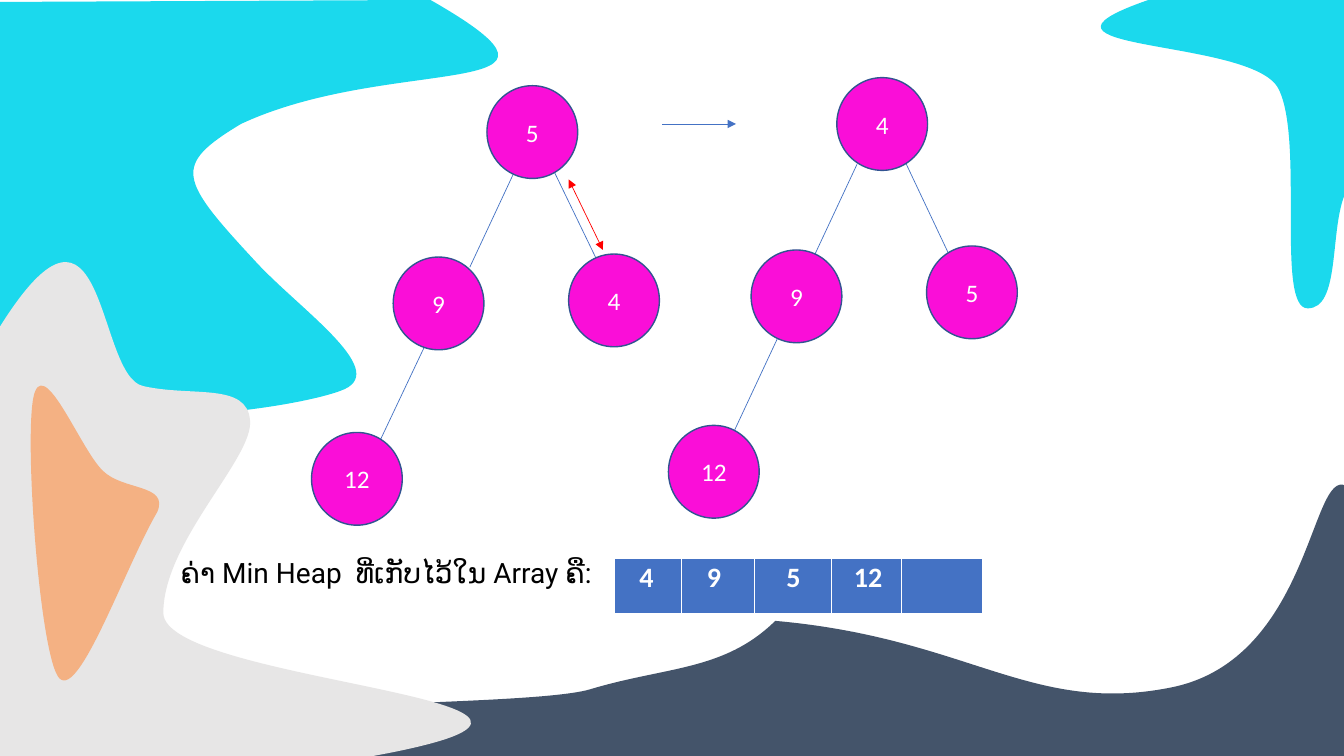
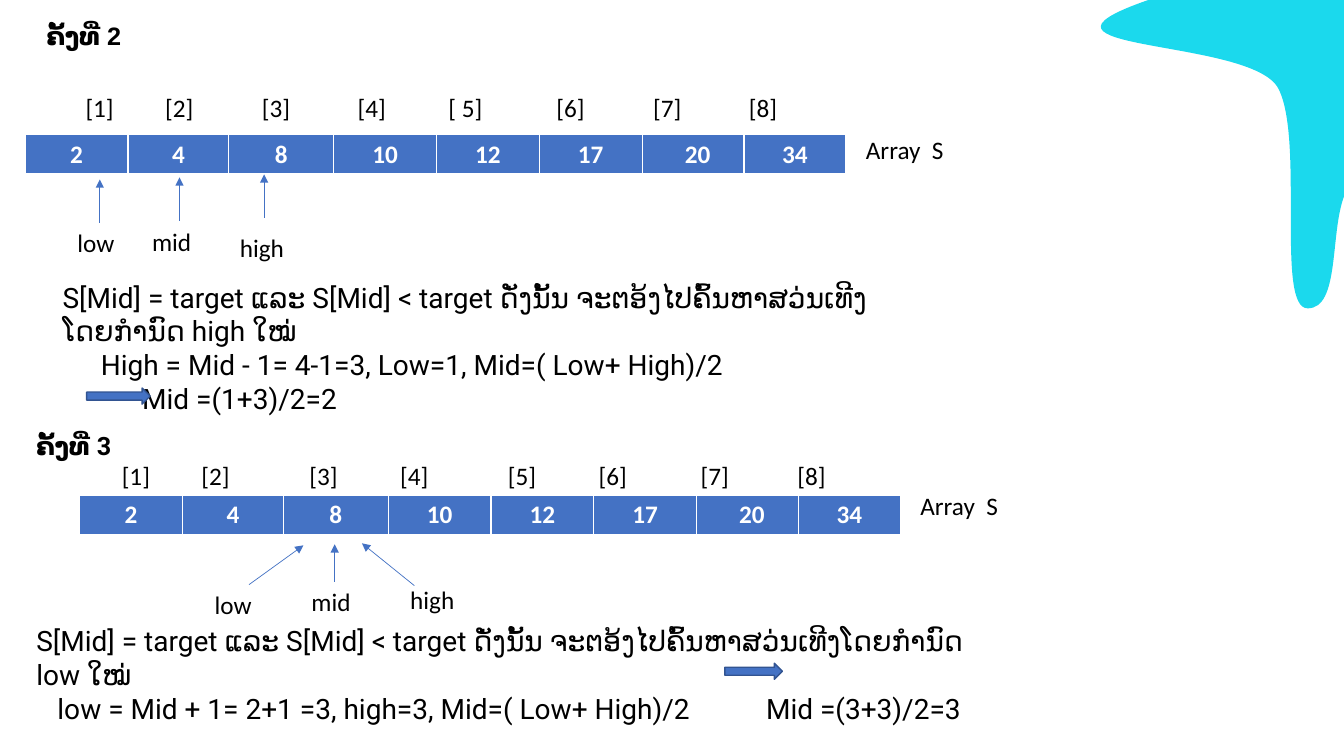
import pptx
import pptx.util
import pptx.dml.color
import pptx.enum.shapes
import pptx.enum.text
import pptx.oxml
import pptx.oxml.ns

EMU_PER_PX = 9144
SLIDE_WIDTH, SLIDE_HEIGHT = 1333, 750
CURVE_STEPS = 24
NODE_WIDTH, NODE_HEIGHT = 90, 92

COLORS = {
    "cyan": "1BD9ED", "navy": "44546A", "grey": "E7E6E6", "peach": "F4B183",
    "magenta": "FA0ED8", "blue": "4472C4", "outline": "325491",
    "red": "FF0000", "white": "FFFFFF", "black": "000000",
}

ANCHOR = pptx.enum.text.MSO_ANCHOR
ALIGN = pptx.enum.text.PP_ALIGN
PRESET = pptx.enum.shapes.MSO_SHAPE

HEADING = {"name": "Arial", "size": 18, "bold": True}
LABEL = {"name": "Calibri", "size": 18, "bold": False}
CELL = {"name": "Calibri", "size": 18, "bold": True}
HEAP_CELL = {"name": "Calibri", "size": 20, "bold": True}
STATEMENT = {"name": "Roboto", "size": 20, "bold": False}

BLOBS = {
    "hill": ("navy", (585, 684), [
        (661, 661, 718, 666, 769, 616), (961, 633, 1023, 710, 1162, 682),
        (1300, 654, 1300, 464, 1335, 482), (1335, 571, 1336, 661, 1336, 750),
        (314, 750), (-3, 690, 510, 706, 585, 684)]),
    "lagoon": ("cyan", (0, 2), [
        (427, 0), (605, 102, 389, 53, 239, 123), (171, 164, 177, 177, 253, 259),
        (296, 306, 385, 366, 342, 386), (300, 405, 72, 439, 0, 377)]),
    "stone": ("grey", (0, 324), [
        (106, 155, 95, 373, 142, 383), (190, 394, 245, 379, 248, 417),
        (252, 454, 162, 537, 162, 608), (162, 679, 676, 694, 370, 750), (0, 750)]),
    "corner": ("cyan", (1139, 0), [
        (1333, 0), (1333, 195), (1319, 232, 1329, 306, 1297, 306),
        (1265, 306, 1294, 139, 1268, 88), (1242, 37, 989, 52, 1139, 0)]),
    "petal": ("peach", (35, 388), [
        (47, 360, 81, 447, 102, 467), (122, 487, 168, 480, 156, 508),
        (124, 563, 79, 693, 59, 673), (39, 653, 22, 416, 35, 388)]),
}

TREES = [
    {"origin": (309, 85),
     "nodes": [("5", 174, 0), ("9", 81, 170), ("4", 255, 167), ("12", 0, 344)],
     "edges": [(200, 88, 157, 180), (240, 84, 284, 175), (112, 259, 68, 352)]},
    {"origin": (663, 77),
     "nodes": [("4", 167, 0), ("9", 82, 171), ("5", 256, 167), ("12", 0, 345)],
     "edges": [(187, 86, 144, 178), (235, 84, 278, 175), (108, 259, 65, 351)]},
]

HEAP_CELLS = [("4", 67, 25), ("9", 72, 25), ("5", 77, 32), ("12", 69, 22), ("", 81, 7)]
SEARCH_CELLS = [("2", 102, 10), ("4", 100, 10), ("8", 104, 10), ("10", 102, 10),
                ("12", 102, 10), ("17", 102, 10), ("20", 101, 19), ("34", 101, 10)]

STEPS = [
    {"origin": (25, 15), "heading": "ຄັ້ງທີ່ 2", "heading_at": (11, 0), "font": "Arial",
     "indexes": {"[1]": 50, "[2]": 129, "[3]": 225, "[4]": 320, "[ 5]": 410,
                 "[6]": 517, "[7]": 613, "[8]": 708},
     "index_top": 72, "array_at": (0, 118), "array_height": 40, "name_at": (824, 113),
     "markers": [("low", (42, 206), (74, 206, 74, 163)),
                 ("mid", (116, 205), (153, 204, 153, 161)),
                 ("high", (203, 211), (237, 201, 237, 158))],
     "reason_box": (27, 258, 823, 214),
     "reason": [
         ("S[Mid] = target ແລະ S[Mid] < target ດັ່ງນັ້ນ ຈະຕອ້ງໄປຄົ້ນຫາສວ່ນເທີງ ໂດຍກຳນົດ high ໃໝ່", 0),
         ("High = Mid - 1= 4-1=3, Low=1, Mid=( Low+ High)/2", 38),
         ("Mid =(1+3)/2=2", 79)],
     "result_arrow": (61, 370, 63, 16)},
    {"origin": (26, 422), "heading": "ຄັ້ງທີ່ 3", "heading_at": (0, 0), "font": "Roboto",
     "indexes": {"[1]": 85, "[2]": 164, "[3]": 271, "[4]": 361, "[5]": 468,
                 "[6]": 558, "[7]": 659, "[8]": 755},
     "index_top": 30, "array_at": (53, 69), "array_height": 41, "name_at": (877, 60),
     "markers": [("low", (177, 158), (221, 158, 275, 119)),
                 ("mid", (273, 155), (306, 155, 306, 118)),
                 ("high", (371, 153), (385, 159, 333, 117))],
     "reason_box": (0, 192, 978, 113),
     "reason": [
         ("S[Mid] = target ແລະ S[Mid] < target ດັ່ງນັ້ນ ຈະຕອ້ງໄປຄົ້ນຫາສວ່ນເທີງໂດຍກຳນົດ low ໃໝ່", 0),
         ("low = Mid + 1= 2+1 =3, high=3, Mid=( Low+ High)/2", 21)],
     "result": ("Mid =(3+3)/2=3", (724, 259, 230, 43)),
     "result_arrow": (693, 236, 57, 16)},
]


def px(length):
    return pptx.util.Emu(round(length * EMU_PER_PX))


def rgb(color):
    return pptx.dml.color.RGBColor.from_string(COLORS[color])


def shift(origin, box):
    return (origin[0] + box[0], origin[1] + box[1], *box[2:])


def shift_line(origin, line):
    return shift(origin, line[:2]) + shift(origin, line[2:])


def add_xml(parent, tag, **attributes):
    child = pptx.oxml.parse_xml(f"<a:{tag} {pptx.oxml.ns.nsdecls('a')}/>")
    for key, value in attributes.items():
        child.set(key, str(value))
    parent.append(child)
    return child


def write(paragraph, text, style, color="black", align=ALIGN.LEFT):
    run = paragraph.add_run()
    run.text = text
    for key, value in style.items():
        setattr(run.font, key, pptx.util.Pt(value) if key == "size" else value)
    run.font.color.rgb = rgb(color)
    paragraph.alignment = align


def indent_plain(paragraph, indent):
    paragraph.space_before = pptx.util.Pt(0)
    properties = paragraph._p.get_or_add_pPr()
    properties.set("marL", str(px(indent)))
    properties.set("indent", "0")
    add_xml(properties, "buNone")


def fill_placeholder(placeholder, box, anchor):
    for key, length in zip(("left", "top", "width", "height"), box):
        setattr(placeholder, key, px(length))
    frame = placeholder.text_frame
    settings = {"word_wrap": True, "vertical_anchor": anchor,
                "auto_size": pptx.enum.text.MSO_AUTO_SIZE.NONE}
    for key, value in settings.items():
        setattr(frame, key, value)
    return frame


def add_label(slide, box, text, style):
    frame = slide.shapes.add_textbox(*map(px, box)).text_frame
    frame.word_wrap = True
    write(frame.paragraphs[0], text, style)


def add_preset(slide, preset, box, color):
    shape = slide.shapes.add_shape(preset, *map(px, box))
    shape.shadow.inherit = False
    shape.fill.solid()
    shape.fill.fore_color.rgb = rgb(color)
    shape.line.color.rgb = rgb("outline")
    shape.line.width = pptx.util.Pt(1)
    return shape


def add_line(slide, ends, color="blue", arrowheads=()):
    line = slide.shapes.add_connector(
        pptx.enum.shapes.MSO_CONNECTOR.STRAIGHT, *map(px, ends))
    line.line.color.rgb = rgb(color)
    line.line.width = pptx.util.Pt(0.5)
    for end in arrowheads:
        add_xml(line.line._get_or_add_ln(), end, type="triangle")
    add_xml(line._element.spPr, "effectLst")


def curve_point(controls, t):
    weights = ((1 - t) ** 3, 3 * t * (1 - t) ** 2, 3 * t * t * (1 - t), t ** 3)
    return tuple(px(sum(w * c[axis] for w, c in zip(weights, controls))) for axis in (0, 1))


def trace_curves(blob, start, segments):
    outline = next(blob._element.iter(pptx.oxml.ns.qn("a:path")))
    for piece in list(outline):
        outline.remove(piece)
    for tag, corners in [("moveTo", [start])] + [
            ("lnTo" if len(corners) == 1 else "cubicBezTo", corners) for corners in segments]:
        piece = add_xml(outline, tag)
        for x, y in corners:
            add_xml(piece, "pt", x=px(x) - blob.left, y=px(y) - blob.top)
    add_xml(outline, "close")


def add_blob(slide, name):
    color, start, coordinates = BLOBS[name]
    segments = [list(zip(segment[::2], segment[1::2])) for segment in coordinates]
    extent, current = [], start
    for corners in segments:
        if len(corners) == 1:
            extent.append(tuple(map(px, corners[0])))
        else:
            extent += [curve_point([current, *corners], step / CURVE_STEPS)
                       for step in range(1, CURVE_STEPS + 1)]
        current = corners[-1]
    builder = slide.shapes.build_freeform(px(start[0]), px(start[1]))
    builder.add_line_segments(extent, close=True)
    blob = builder.convert_to_shape()
    trace_curves(blob, start, segments)
    blob.shadow.inherit = False
    blob.fill.solid()
    blob.fill.fore_color.rgb = rgb(color)
    blob.line.fill.background()


def add_array(slide, origin, height, entries, style, align, margins, spacing):
    box = (*origin, sum(width for _, width, _ in entries), height)
    table = slide.shapes.add_table(1, len(entries), *map(px, box)).table
    for column, cell, (value, width, inset) in zip(table.columns, table.rows[0].cells, entries):
        column.width = px(width)
        properties = cell._tc.get_or_add_tcPr()
        for side in ("lnL", "lnR", "lnT", "lnB"):
            border = add_xml(properties, side, w=pptx.util.Pt(3 if side == "lnB" else 1))
            add_xml(add_xml(border, "solidFill"), "srgbClr", val=COLORS["white"])
        cell.fill.solid()
        cell.fill.fore_color.rgb = rgb("blue")
        for side, margin in {**margins, "left": inset}.items():
            setattr(cell, "margin_" + side, px(margin))
        cell.vertical_anchor = ANCHOR.TOP
        if value:
            paragraph = cell.text_frame.paragraphs[0]
            write(paragraph, value, style, "white", align)
            paragraph.line_spacing = spacing


def add_tree(slide, origin, nodes, edges):
    for edge in edges:
        add_line(slide, shift_line(origin, edge))
    for value, x, y in nodes:
        node = add_preset(slide, PRESET.OVAL,
                          shift(origin, (x, y, NODE_WIDTH, NODE_HEIGHT)), "magenta")
        node.text_frame.vertical_anchor = ANCHOR.MIDDLE
        write(node.text_frame.paragraphs[0], value, LABEL, "white", ALIGN.CENTER)


def add_search_step(slide, step, body, title=None):
    origin = step["origin"]
    style = {**HEADING, "name": step["font"]}
    heading_box = shift(origin, (*step["heading_at"], 125, 40))
    if title is None:
        add_label(slide, heading_box, step["heading"], style)
    else:
        frame = fill_placeholder(title, heading_box, ANCHOR.TOP)
        write(frame.paragraphs[0], step["heading"], style)
    for index, left in step["indexes"].items():
        add_label(slide, shift(origin, (left, step["index_top"], 60, 40)), index, LABEL)
    add_array(slide, shift(origin, step["array_at"]), step["array_height"], SEARCH_CELLS,
              CELL, ALIGN.CENTER, {"right": 10, "top": 5, "bottom": 5}, 1.0)
    add_label(slide, shift(origin, (*step["name_at"], 137, 40)), "Array  S", LABEL)
    for name, label_at, pointer in step["markers"]:
        add_label(slide, shift(origin, (*label_at, 81, 40)), name, LABEL)
        add_line(slide, shift_line(origin, pointer), arrowheads=["tailEnd"])
    frame = fill_placeholder(body, shift(origin, step["reason_box"]), ANCHOR.TOP)
    for number, (text, indent) in enumerate(step["reason"]):
        paragraph = frame.add_paragraph() if number else frame.paragraphs[0]
        write(paragraph, text, STATEMENT)
        indent_plain(paragraph, indent)
    if "result" in step:
        text, box = step["result"]
        add_label(slide, shift(origin, box), text, STATEMENT)
    add_preset(slide, PRESET.RIGHT_ARROW, shift(origin, step["result_arrow"]), "blue")


def build_heap_slide(deck):
    slide = deck.slides.add_slide(deck.slide_layouts[5])
    for name in ("hill", "lagoon", "stone", "corner", "petal"):
        add_blob(slide, name)
    for tree in TREES:
        add_tree(slide, **tree)
    add_line(slide, (564, 178, 598, 248), "red", ["headEnd", "tailEnd"])
    add_line(slide, (657, 123, 730, 123), arrowheads=["tailEnd"])
    frame = fill_placeholder(slide.shapes.title, (167, 550, 432, 36), ANCHOR.MIDDLE)
    for side in ("left", "right", "top", "bottom"):
        setattr(frame, "margin_" + side, 0)
    write(frame.paragraphs[0], "ຄ່າ Min Heap  ທີ່ເກັບໄວ້ໃນ Array ຄື:", STATEMENT, align=ALIGN.CENTER)
    add_array(slide, (609, 554), 56, HEAP_CELLS, HEAP_CELL, ALIGN.LEFT,
              {"right": 7, "top": 0, "bottom": 0}, 1.07)


def build_search_slide(deck):
    slide = deck.slides.add_slide(deck.slide_layouts[3])
    add_blob(slide, "corner")
    title, first_reason, second_reason = list(slide.placeholders)
    add_search_step(slide, STEPS[0], first_reason, title)
    add_search_step(slide, STEPS[1], second_reason)


def main():
    deck = pptx.Presentation()
    deck.slide_width, deck.slide_height = px(SLIDE_WIDTH), px(SLIDE_HEIGHT)
    build_heap_slide(deck)
    build_search_slide(deck)
    deck.save("out.pptx")


if __name__ == "__main__":
    main()
